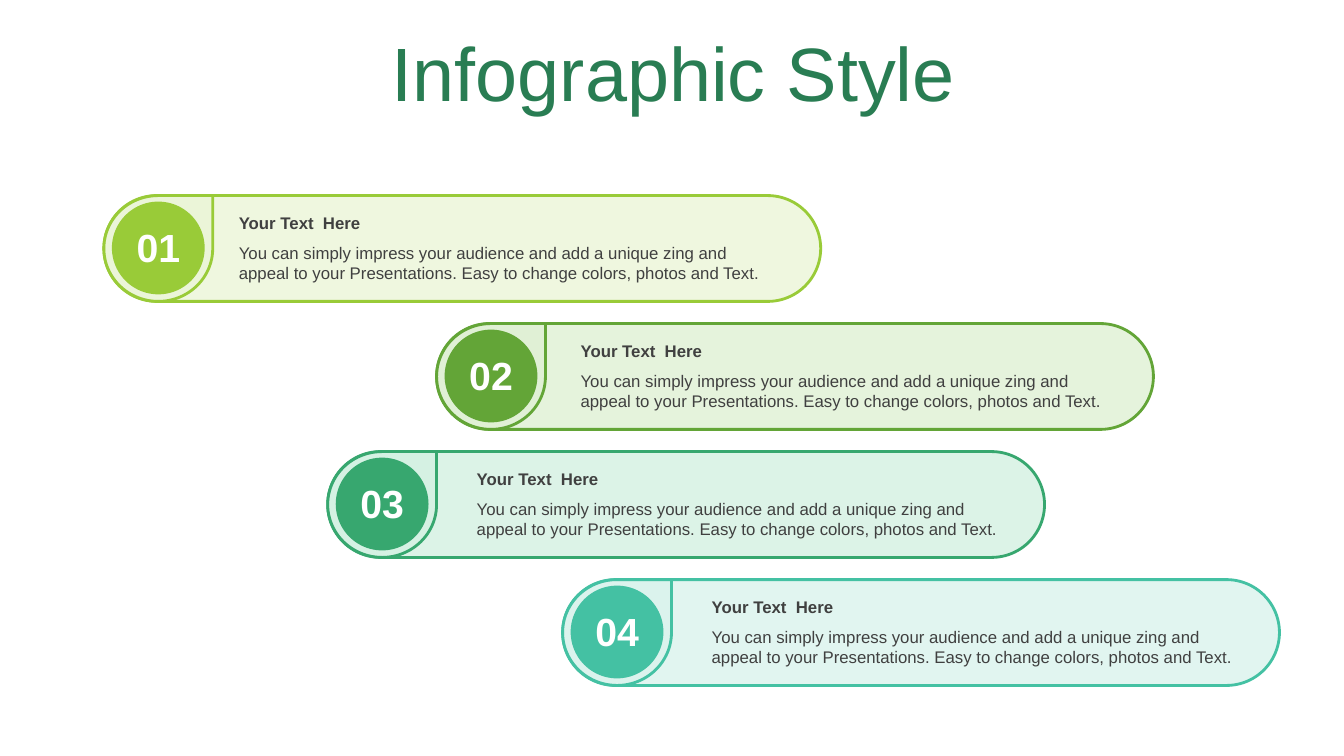
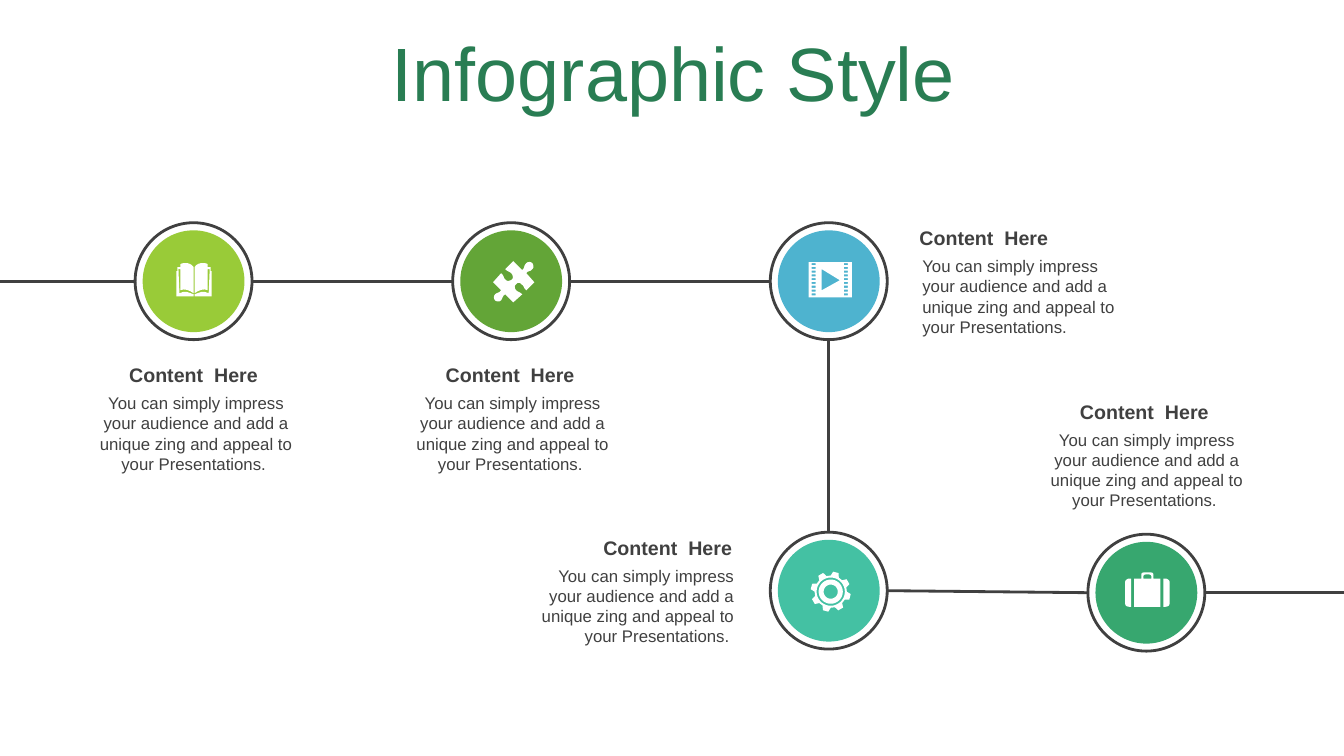
import itertools
import math

import lxml.etree
import pptx
import pptx.dml.color
import pptx.enum.shapes
import pptx.enum.text
import pptx.oxml.ns
import pptx.util

Inches = pptx.util.Inches
Pt = pptx.util.Pt
SHAPE = pptx.enum.shapes.MSO_SHAPE
ALIGN = pptx.enum.text.PP_ALIGN
ANCHOR = pptx.enum.text.MSO_ANCHOR
FIT = pptx.enum.text.MSO_AUTO_SIZE

THEME = {
    "title": "297D53",
    "ink": "404040",
    "white": "FFFFFF",
    "lime": "99CB38",
    "leaf": "63A537",
    "emerald": "37A76F",
    "teal": "44C1A3",
    "sky": "4EB3CF",
    "lime_tint": "EBF5D7",
    "leaf_tint": "DFF0D4",
    "emerald_tint": "D4F1E2",
    "teal_tint": "DAF3ED",
    "tint_alpha": 80,
    "line_width": 2,
    "title_font": {"name": "Arial", "size": Pt(54), "bold": False},
    "number_font": {"name": "Arial", "size": Pt(28), "bold": True},
    "heading_font": {"name": "Arial", "size": Pt(14), "bold": True},
    "label_font": {"name": "Arial", "size": Pt(12), "bold": True},
    "body_font": {"name": "Arial", "size": Pt(12), "bold": False},
}


def write_text(holder, text, font, color, align=ALIGN.LEFT, anchor=ANCHOR.TOP, fit=FIT.SHAPE_TO_FIT_TEXT):
    frame = holder.text_frame
    frame.text = text
    for key, value in {"word_wrap": True, "auto_size": fit, "vertical_anchor": anchor}.items():
        setattr(frame, key, value)
    paragraph = frame.paragraphs[0]
    paragraph.alignment = align
    for key, value in THEME[font].items():
        setattr(paragraph.font, key, value)
    paragraph.font.color.rgb = pptx.dml.color.RGBColor.from_string(THEME[color])
    return paragraph


def paint(shape, fill=None, line=None, alpha=None):
    shape.shadow.inherit = False
    if fill:
        shape.fill.solid()
        shape.fill.fore_color.rgb = pptx.dml.color.RGBColor.from_string(THEME[fill])
    else:
        shape.fill.background()
    if line:
        shape.line.color.rgb = pptx.dml.color.RGBColor.from_string(THEME[line])
        shape.line.width = Pt(THEME["line_width"])
    else:
        shape.line.fill.background()
    if alpha:
        fill_color = shape.fill._xPr.find(".//" + pptx.oxml.ns.qn("a:srgbClr"))
        opacity = lxml.etree.SubElement(fill_color, pptx.oxml.ns.qn("a:alpha"))
        opacity.set("val", str(alpha * 1000))


deck = pptx.Presentation()
deck.slide_width, deck.slide_height = Inches(13.33), Inches(7.5)

slides = []
for _ in range(2):
    slide = deck.slides.add_slide(deck.slide_layouts[5])
    title = slide.shapes.title
    title.left, title.top, title.width, title.height = map(Inches, (0.35, 0.37, 12.66, 0.79))
    heading = write_text(title, "Infographic Style", "title_font", "title", ALIGN.CENTER, ANCHOR.MIDDLE, FIT.NONE)
    heading.line_spacing = 0.9
    heading.space_before = Pt(0)
    slides.append(slide)
steps_slide, journey_slide = slides

STEP_TEXT = (
    "You can simply impress your audience and add a unique zing and "
    "appeal to your Presentations. Easy to change colors, photos and Text."
)
steps = [
    (1.03, 2.27, "lime"),
    (4.33, 5.66, "leaf"),
    (3.25, 4.63, "emerald"),
    (5.58, 6.96, "teal"),
]
for index, (left, text_left, color) in enumerate(steps):
    top = 1.94 + 1.27 * index
    tint, alpha = color + "_tint", THEME["tint_alpha"]
    for outline, box, look in (
        (SHAPE.ROUNDED_RECTANGLE, (left, top, 7.11, 1.05), (tint, color, alpha)),
        (SHAPE.TEAR, (left, top, 1.08, 1.05), (tint, color, alpha)),
        (SHAPE.OVAL, (left + 0.08, top + 0.06, 0.92, 0.92), (color,)),
    ):
        part = steps_slide.shapes.add_shape(outline, *map(Inches, box))
        if outline == SHAPE.ROUNDED_RECTANGLE:
            part.adjustments[0] = 0.5
        paint(part, *look)
    for box, text, font, ink, align in (
        ((left + 0.15, top + 0.23, 0.78, 0.57), f"{index + 1:02}", "number_font", "white", ALIGN.CENTER),
        ((text_left, top + 0.12, 5.45, 0.3), "Your Text  Here", "label_font", "ink", ALIGN.LEFT),
        ((text_left, top + 0.42, 5.45, 0.5), STEP_TEXT, "body_font", "ink", ALIGN.LEFT),
    ):
        write_text(steps_slide.shapes.add_textbox(*map(Inches, box)), text, font, ink, align)

right_page = [
    (1.93, 2.65), (1.95, 2.62, 1.98, 2.61, 2.01, 2.61), (2.02, 2.61, 2.04, 2.61, 2.06, 2.62),
    (2.06, 2.65), (2.09, 2.65), (2.09, 2.69), (2.1, 2.69), (2.1, 2.94), (1.93, 2.94), (1.93, 2.92),
    (1.99, 2.9, 2.01, 2.88, 2.07, 2.91), (2.08, 2.67), (2.06, 2.67), (2.06, 2.88),
    (2.02, 2.86, 1.97, 2.88, 1.93, 2.91),
]
left_page = [
    tuple(3.85 - value if axis % 2 == 0 else value for axis, value in enumerate(knot)) for knot in right_page
]
book = [right_page, left_page]

puzzle = [[
    (5.28, 2.61), (5.29, 2.63, 5.3, 2.65, 5.28, 2.67), (5.26, 2.7, 5.24, 2.68, 5.22, 2.71),
    (5.3, 2.8), (5.22, 2.88), (5.19, 2.86, 5.2, 2.83, 5.17, 2.82), (5.16, 2.8, 5.13, 2.8, 5.12, 2.82),
    (5.1, 2.83, 5.1, 2.86, 5.12, 2.88), (5.14, 2.9, 5.15, 2.89, 5.18, 2.92), (5.09, 3), (5.01, 2.92),
    (4.98, 2.94, 4.99, 2.95, 4.97, 2.98), (4.95, 3, 4.92, 2.99, 4.91, 2.98),
    (4.9, 2.97, 4.89, 2.94, 4.91, 2.92), (4.93, 2.9, 4.95, 2.91, 4.97, 2.88), (4.89, 2.8), (4.97, 2.71),
    (5, 2.73, 4.99, 2.76, 5.02, 2.78), (5.03, 2.79, 5.06, 2.79, 5.08, 2.77),
    (5.09, 2.76, 5.09, 2.73, 5.07, 2.71), (5.05, 2.69, 5.04, 2.7, 5.01, 2.67), (5.09, 2.59), (5.18, 2.68),
    (5.21, 2.65, 5.19, 2.64, 5.22, 2.61), (5.24, 2.59, 5.27, 2.6, 5.28, 2.61),
]]

film = [
    [(8.02, 2.6), (8.45, 2.6), (8.45, 2.95), (8.02, 2.95)],
    [(8.15, 2.67), (8.15, 2.88), (8.33, 2.78)],
]
for row, hole_left in itertools.product(range(9), (8.05, 8.37)):
    hole_top, hole_right = 2.61 + 0.3 * row / 8, hole_left + 0.04
    film.append([
        (hole_left, hole_top), (hole_right, hole_top), (hole_right, hole_top + 0.02), (hole_left, hole_top + 0.02),
    ])

gear_rings = [[(0.2 if abs(turn) < 10 else 0.16, 45 * tooth - 75 + turn)
               for tooth in range(8) for turn in (-15, -8, 8, 15)]]
for radius in (0.14, 0.12, 0.07):
    gear_rings.append([(radius, angle) for angle in range(0, 360, 10)])
gear = [
    [(8.24 + radius * math.cos(math.radians(angle)), 5.87 + radius * math.sin(math.radians(angle)))
     for radius, angle in ring]
    for ring in gear_rings
]

suitcase = [
    [(11.54, 5.74), (11.56, 5.74), (11.58, 5.74, 11.6, 5.76, 11.6, 5.77), (11.6, 5.99),
     (11.6, 6.01, 11.58, 6.02, 11.56, 6.02), (11.54, 6.02)],
    [(11.2, 5.74), (11.22, 5.74), (11.22, 6.02), (11.2, 6.02), (11.18, 6.02, 11.16, 6.01, 11.16, 5.99),
     (11.16, 5.77), (11.16, 5.76, 11.18, 5.74, 11.2, 5.74)],
    [(11.36, 5.7), (11.35, 5.7, 11.34, 5.71, 11.34, 5.72), (11.34, 5.74), (11.42, 5.74), (11.42, 5.72),
     (11.42, 5.71, 11.41, 5.7, 11.4, 5.7)],
    [(11.34, 5.68), (11.42, 5.68), (11.43, 5.68, 11.44, 5.69, 11.44, 5.7), (11.44, 5.74), (11.51, 5.74),
     (11.51, 6.02), (11.25, 6.02), (11.25, 5.74), (11.32, 5.74), (11.32, 5.7),
     (11.32, 5.69, 11.33, 5.68, 11.34, 5.68)],
]

STOP_TEXT = "You can simply impress your audience and add a unique zing and appeal to your Presentations. "
RING, DISC = 1.16, 1.01
RADIUS = RING / 2
stops = [
    (0, 2.21, "lime", book, (0.78, 3.55), ALIGN.CENTER),
    (1, 2.21, "leaf", puzzle, (3.92, 3.55), ALIGN.CENTER),
    (2, 2.21, "sky", film, (9.02, 2.19), ALIGN.LEFT),
    (2, 5.28, "teal", gear, (5.08, 5.26), ALIGN.RIGHT),
    (3, 5.3, "emerald", suitcase, (10.21, 3.91), ALIGN.CENTER),
]
centres = []
for column, top, color, icon, (text_left, text_top), align in stops:
    centre_x, centre_y = 1.34 + 3.15 * column + RADIUS, top + RADIUS
    centres.append((centre_x, centre_y))
    for size, look in ((RING, {"line": "ink"}), (DISC, {"fill": color})):
        box = (centre_x - size / 2, centre_y - size / 2, size, size)
        paint(journey_slide.shapes.add_shape(SHAPE.OVAL, *map(Inches, box)), **look)

    for box, text, font, anchor in (
        ((text_left, text_top, 2.28, 0.34), "Content  Here", "heading_font", ANCHOR.MIDDLE),
        ((text_left + 0.03, text_top + 0.3, 2.27, 0.91), STOP_TEXT, "body_font", ANCHOR.TOP),
    ):
        write_text(journey_slide.shapes.add_textbox(*map(Inches, box)), text, font, "ink", align, anchor)

    builder = None
    for contour in icon:
        points = [contour[0]]
        for knot in contour[1:]:
            if len(knot) == 2:
                points.append(knot)
                continue
            bends = [points[-1], knot[:2], knot[2:4], knot[4:]]
            for t in (0.25, 0.5, 0.75, 1):
                weights = [math.comb(3, k) * t ** k * (1 - t) ** (3 - k) for k in range(4)]
                points.append(tuple(sum(w * bend[axis] for w, bend in zip(weights, bends)) for axis in (0, 1)))
        points = [(Inches(x), Inches(y)) for x, y in points]
        if builder is None:
            builder = journey_slide.shapes.build_freeform(*points[0], scale=1.0)
        else:
            builder.move_to(*points[0])
        builder.add_line_segments(points[1:], close=True)
    paint(builder.convert_to_shape(), "white")

route = [(-RADIUS, centres[0][1]), *centres, (13.33 + RADIUS, centres[-1][1])]
for (from_x, from_y), (to_x, to_y) in itertools.pairwise(route):
    across = RADIUS if to_x > from_x else 0
    down = RADIUS - across
    ends = (from_x + across, from_y + down, to_x - across, to_y - down)
    link = journey_slide.shapes.add_connector(pptx.enum.shapes.MSO_CONNECTOR.STRAIGHT, *map(Inches, ends))
    link.line.color.rgb = pptx.dml.color.RGBColor.from_string(THEME["ink"])
    link.line.width = Pt(THEME["line_width"])
    lxml.etree.SubElement(link._element.spPr, pptx.oxml.ns.qn("a:effectLst"))

deck.save("out.pptx")
